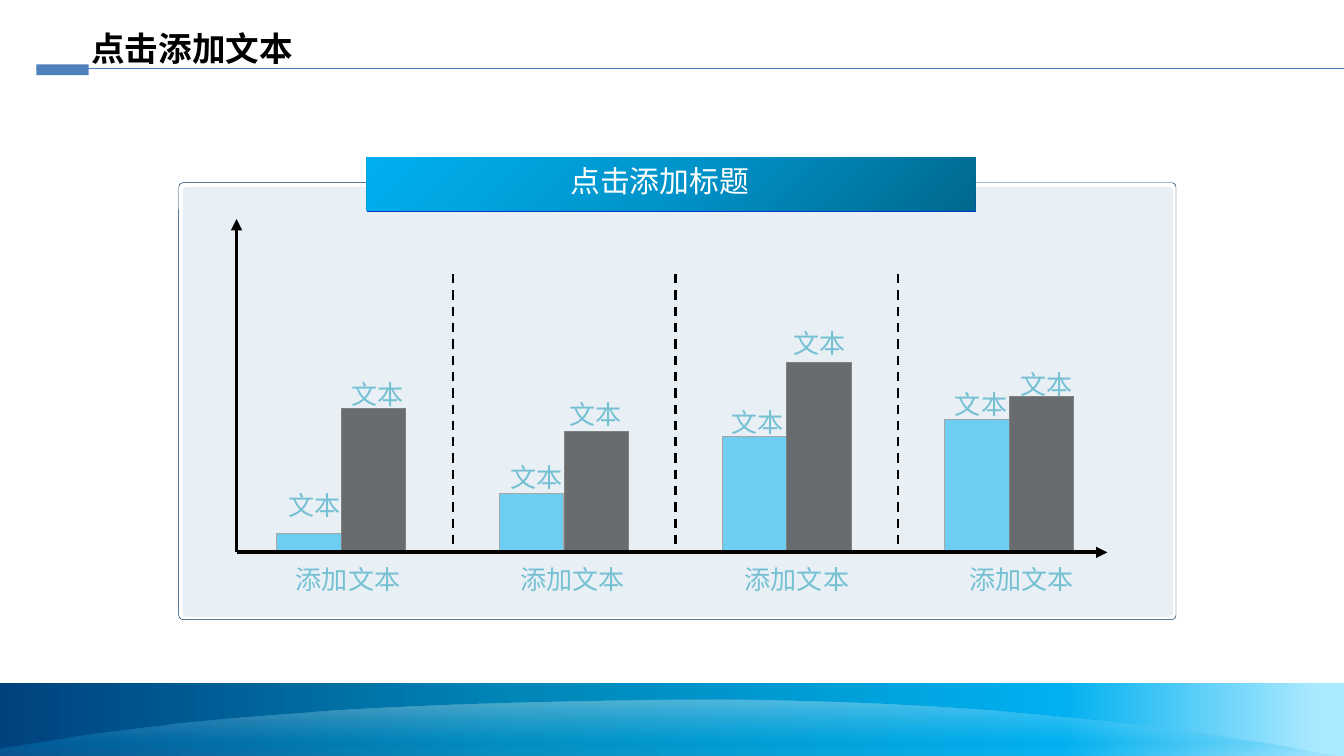
"""Build a slide with four pairs of labelled bars inside a titled panel."""
from lxml.etree import SubElement
from pptx import Presentation
from pptx.dml.color import RGBColor
from pptx.enum.dml import MSO_LINE
from pptx.enum.shapes import MSO_CONNECTOR, MSO_SHAPE
from pptx.enum.text import MSO_ANCHOR, MSO_AUTO_SIZE, PP_ALIGN
from pptx.oxml.ns import qn
from pptx.util import Inches, Pt

WIDTH = 10
HEIGHT = WIDTH * 9 / 16
BLACK = RGBColor(0x00, 0x00, 0x00)
WHITE = RGBColor(0xFF, 0xFF, 0xFF)
SKY = RGBColor(0x00, 0xB0, 0xF0)
LABEL = RGBColor(0x76, 0xC0, 0xD4)
ACCENT = RGBColor(0x4F, 0x81, 0xBD)
RULE = RGBColor(0x4B, 0x7E, 0xBC)
PANEL_LINE = RGBColor(0x00, 0x35, 0x60)
PANEL = RGBColor(0x00, 0x5D, 0xA2)
BANNER_LINE = RGBColor(0x00, 0x39, 0xC8)
LIGHT_EDGE = RGBColor(0xA6, 0xA6, 0xA6)
DARK_EDGE = RGBColor(0x80, 0x80, 0x80)
FOOTER_STOPS = [(0, RGBColor(0x00, 0x42, 0x7E), 100), (39, RGBColor(0x00, 0x87, 0xB8), 100),
                (79, SKY, 100), (98, RGBColor(0xAB, 0xE9, 0xFF), 100)]
BANNER_STOPS = [(0, RGBColor(0x00, 0x68, 0x8E), 100), (50, RGBColor(0x00, 0x94, 0xCA), 100),
                (100, SKY, 100)]
WAVE_STOPS = [(0, WHITE, 31), (50, SKY, 20), (100, WHITE, 0)]
WAVE_CURVES = [[(-0.33, 5.63), (0.51, 5.49), (1.73, 5.23), (5.16, 5.21)],
               [(5.16, 5.21), (7.1, 5.2), (9.41, 5.42), (10.89, 5.86)]]

TITLE, BANNER = "点击添加文本", "点击添加标题"
CJK_FONT, LABEL_FONT = "Noto Sans CJK SC", "Calibri"
# Each bar: text, height, label centre, label top.
GROUPS = [
    ("添加文本", [("文本", 0.13, 2.34, 3.59), ("文本", 1.06, 2.81, 2.76)]),
    ("添加文本", [("文本", 0.43, 3.99, 3.38), ("文本", 0.89, 4.43, 2.91)]),
    ("添加文本", [("文本", 0.85, 5.64, 2.97), ("文本", 1.4, 6.1, 2.38)]),
    ("添加文本", [("文本", 0.98, 7.3, 2.84), ("文本", 1.15, 7.79, 2.69)]),
]
BAR_STYLES = [(SKY, 52, LIGHT_EDGE), (BLACK, 55, DARK_EDGE)]
BAR_LEFT, LAST_BAR_LEFT, BAR_WIDTH, BASELINE = 2.06, 7.03, 0.48, 4.1
GROUP_PITCH = (LAST_BAR_LEFT - BAR_LEFT) / (len(GROUPS) - 1)
CAPTION_CENTRE, CAPTION_PITCH, CAPTION_TOP = 2.59, 1.67, 4.14
DIVIDER_LEFT, DIVIDER_TOP, DIVIDER_BOTTOM = 3.37, 2.04, 4.09
ORIGIN, AXIS_TOP, AXIS_RIGHT = (1.76, 4.11), 1.63, 8.24
BANNER_BOX = (2.73, 1.17, 4.53, 0.4)


def set_alpha(color_element, percent):
    SubElement(color_element, qn("a:alpha")).set("val", str(percent * 1000))


def style_shape(shape, color=None, alpha=100, edge=None, edge_width=0.25):
    shape.shadow.inherit = False
    if color is None:
        shape.fill.background()
    else:
        shape.fill.solid()
        shape.fill.fore_color.rgb = color
        if alpha < 100:
            set_alpha(shape._element.spPr.find(qn("a:solidFill"))[0], alpha)
    if edge is None:
        shape.line.fill.background()
    else:
        shape.line.color.rgb = edge
        shape.line.width = Pt(edge_width)


def add_box(slide, kind, box, **style):
    shape = slide.shapes.add_shape(kind, *map(Inches, box))
    style_shape(shape, **style)
    return shape


def set_gradient(shape, stops, angle):
    shape.fill.gradient()
    shape.fill.gradient_angle = angle
    stop_list = shape._element.spPr.find(qn("a:gradFill")).find(qn("a:gsLst"))
    for stop in list(stop_list):
        stop_list.remove(stop)
    for position, color, alpha in stops:
        stop = SubElement(stop_list, qn("a:gs"))
        stop.set("pos", str(position * 1000))
        color_element = SubElement(stop, qn("a:srgbClr"))
        color_element.set("val", str(color))
        set_alpha(color_element, alpha)


def add_line(slide, start, end, color, width, dashed=False, arrow=False):
    line = slide.shapes.add_connector(MSO_CONNECTOR.STRAIGHT, *map(Inches, (*start, *end)))
    line.line.color.rgb = color
    line.line.width = Pt(width)
    if dashed:
        line.line.dash_style = MSO_LINE.DASH
    if arrow:
        SubElement(line.line._get_or_add_ln(), qn("a:tailEnd")).set("type", "triangle")
    SubElement(line._element.spPr, qn("a:effectLst"))


def write_text(shape, text, size, color, font=CJK_FONT, align=PP_ALIGN.CENTER, bold=False):
    frame = shape.text_frame
    frame.text = text
    frame.word_wrap = False
    frame.auto_size = MSO_AUTO_SIZE.NONE
    frame.vertical_anchor = MSO_ANCHOR.MIDDLE
    paragraph = frame.paragraphs[0]
    paragraph.alignment = align
    paragraph.font.size = Pt(size)
    paragraph.font.bold = bold
    paragraph.font.color.rgb = color
    paragraph.font.name = font
    properties = paragraph._p.pPr.find(qn("a:defRPr"))
    SubElement(properties, qn("a:ea")).set("typeface", CJK_FONT)


def add_label(slide, text, centre, top, width):
    box = (centre - width / 2, top, width, 0.34)
    write_text(slide.shapes.add_textbox(*map(Inches, box)), text, 14, LABEL, LABEL_FONT)


def curve_points(curve, steps=30):
    for step in range(steps + 1):
        t = step / steps
        weights = ((1 - t) ** 3, 3 * t * (1 - t) ** 2, 3 * t * t * (1 - t), t ** 3)
        yield tuple(Inches(sum(w * p[axis] for w, p in zip(weights, curve))) for axis in (0, 1))


def add_frame(slide):
    footer = add_box(slide, MSO_SHAPE.RECTANGLE, (0, 5.08, WIDTH, HEIGHT - 5.08))
    set_gradient(footer, FOOTER_STOPS, 0)
    add_line(slide, (0.27, 0.51), (WIDTH, 0.51), RULE, 0.75)
    start, *points = [point for curve in WAVE_CURVES for point in curve_points(curve)]
    builder = slide.shapes.build_freeform(*start)
    builder.add_line_segments(points, close=True)
    wave = builder.convert_to_shape()
    style_shape(wave)
    set_gradient(wave, WAVE_STOPS, 270)
    add_box(slide, MSO_SHAPE.RECTANGLE, (0.27, 0.48, 0.39, 0.08), color=ACCENT)
    title = slide.shapes.title
    title.left, title.top, title.width, title.height = map(Inches, (0.58, 0.16, 1.72, 0.4))
    write_text(title, TITLE, 18, BLACK, align=PP_ALIGN.LEFT, bold=True)


def add_panel(slide):
    outline = add_box(slide, MSO_SHAPE.ROUNDED_RECTANGLE, (1.33, 1.36, 7.42, 3.25), edge=PANEL_LINE)
    inside = add_box(slide, MSO_SHAPE.ROUNDED_RECTANGLE, (1.36, 1.39, 7.37, 3.2),
                     color=PANEL, alpha=9)
    for shape in (outline, inside):
        shape.adjustments[0] = 0.01
    add_box(slide, MSO_SHAPE.RECTANGLE, BANNER_BOX, edge=BANNER_LINE)
    banner = add_box(slide, MSO_SHAPE.RECTANGLE, BANNER_BOX)
    set_gradient(banner, BANNER_STOPS, 135)
    write_text(banner, BANNER, 16, WHITE)
    frame = banner.text_frame
    frame.margin_left = frame.margin_top = 0
    frame.margin_right, frame.margin_bottom = Inches(0.17), Inches(0.05)


def add_bars(slide):
    for index, (caption, bars) in enumerate(GROUPS):
        left = BAR_LEFT + index * GROUP_PITCH
        if index < len(GROUPS) - 1:
            x = DIVIDER_LEFT + index * GROUP_PITCH
            add_line(slide, (x, DIVIDER_TOP), (x, DIVIDER_BOTTOM), BLACK, 1.25, dashed=True)
        add_label(slide, caption, CAPTION_CENTRE + index * CAPTION_PITCH, CAPTION_TOP, 0.99)
        for side, (text, height, centre, top) in enumerate(bars):
            color, alpha, edge = BAR_STYLES[side]
            box = (left + side * BAR_WIDTH, BASELINE - height, BAR_WIDTH, height)
            add_box(slide, MSO_SHAPE.RECTANGLE, box, color=color, alpha=alpha,
                    edge=edge, edge_width=0.5)
            add_label(slide, text, centre, top, 0.6)
    for end in ((ORIGIN[0], AXIS_TOP), (AXIS_RIGHT, ORIGIN[1])):
        add_line(slide, ORIGIN, end, BLACK, 2, arrow=True)


def main():
    presentation = Presentation()
    presentation.slide_width, presentation.slide_height = Inches(WIDTH), Inches(HEIGHT)
    slide = presentation.slides.add_slide(presentation.slide_layouts[5])
    add_frame(slide)
    add_panel(slide)
    add_bars(slide)
    presentation.save("out.pptx")


if __name__ == "__main__":
    main()
